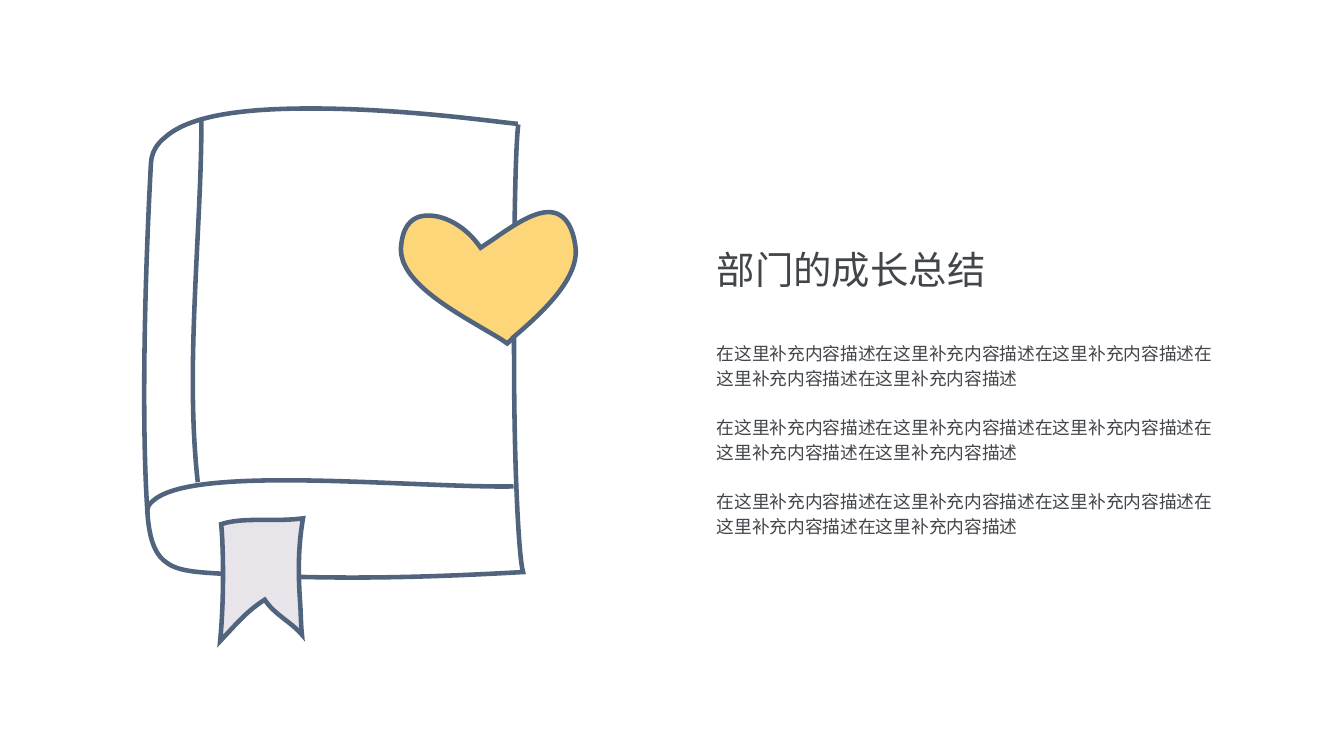
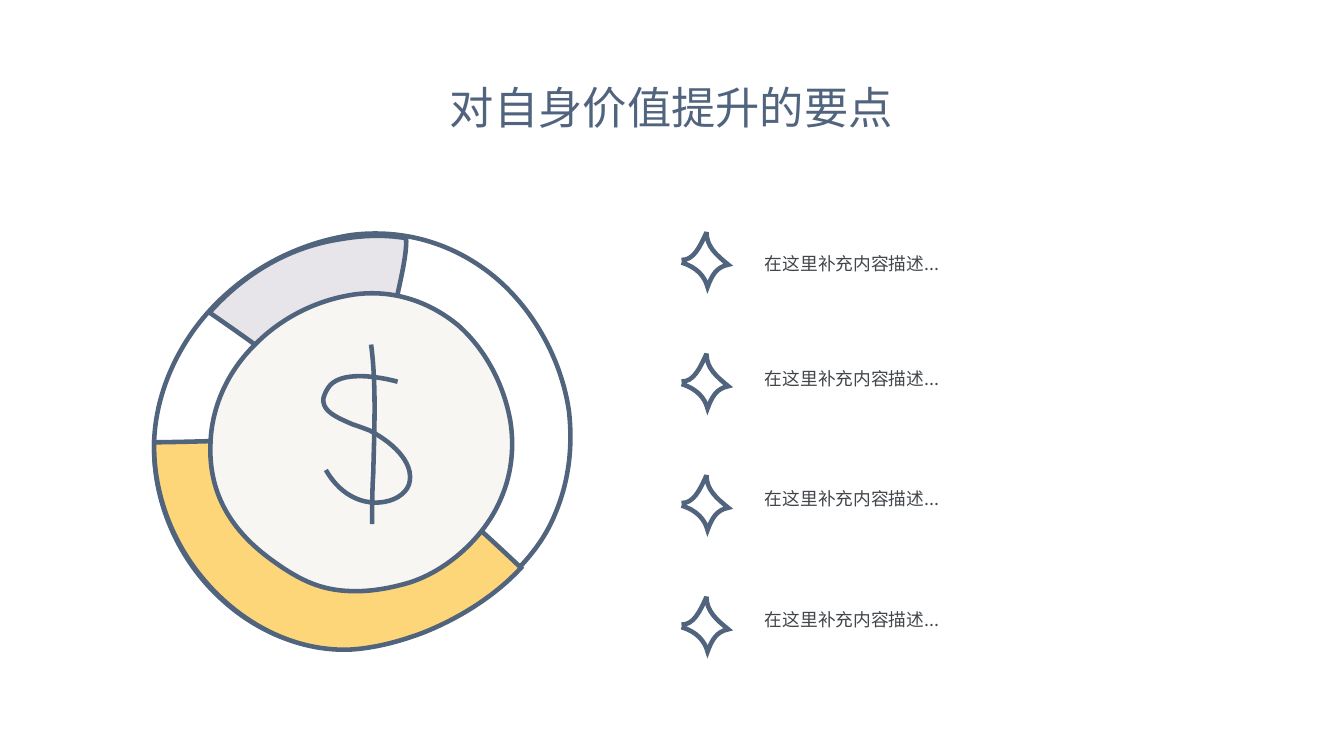
import pptx
import pptx.dml.color
import pptx.enum.text
import pptx.oxml.ns
import pptx.util
from lxml import etree

CELL = pptx.util.Inches(0.1)
COLS, ROWS = 126.4, 71.1
FONT = "Noto Sans CJK SC"
HUES = {"ink": "51647E", "text": "42464B", "gold": "FDD67A",
        "lilac": "E7E4EA", "cream": "F8F6F3"}
PEN = 3.1
STEPS = 16
FRAME = {"word_wrap": True, "margin_left": 0, "margin_right": 0,
         "margin_top": 0, "margin_bottom": 0,
         "vertical_anchor": pptx.enum.text.MSO_ANCHOR.MIDDLE}
LEFT, MID = pptx.enum.text.PP_ALIGN.LEFT, pptx.enum.text.PP_ALIGN.CENTER
BODY = {"size": 12, "hue": "text", "align": LEFT}
HEAD = {"size": 26, "hue": "text", "align": LEFT}
TITLE = {"size": 30, "hue": "ink", "align": MID}

# Each curve: a start point, then cubic segments of three points, in cells.
BOOK = [
    (48.7, 11.65),
    (46.5, 11.45), (38, 10.2), (29.2, 10.2),
    (23.1, 10.2), (17.9, 10.8), (15.55, 12.9),
    (14.7, 13.55), (14.25, 14.4), (14.2, 15.35),
    (13.7, 24.5), (13.25, 38.6), (13.85, 47.9),
    (14, 50.75), (14.6, 52.25), (15.8, 53),
    (17, 53.8), (18.85, 53.85), (22.7, 54.05),
    (31.8, 54.5), (39.3, 54.35), (49.2, 53.8),
    (48.8, 52.6), (48.35, 44), (48.35, 33.8),
    (48.3, 24), (48.45, 13.9), (48.75, 11.7)]
SHELF = [
    (13.85, 48.3),
    (13.85, 47.7), (14, 47.4), (14.35, 47.15),
    (17, 44.6), (28.6, 45.1), (38.4, 45.5),
    (42.2, 45.65), (45.9, 45.8), (48.3, 45.75)]
SPINE = [
    (18.6, 45.35),
    (17.8, 38.1), (18.2, 30.5), (18.55, 23.1),
    (18.75, 19), (18.95, 15.1), (18.95, 11.2)]
RIBBON = [
    (20.8, 49.3),
    (22.2, 48.85), (23.8, 48.9), (25.3, 48.9),
    (26.3, 48.9), (27.3, 48.9), (28.5, 48.75),
    (28, 51.6), (28.05, 54.2), (28.25, 57),
    (28.3, 57.9), (28.3, 58.8), (28.4, 59.7),
    (27.4, 58.5), (25.8, 57.8), (24.9, 56.4),
    (23.2, 57.5), (22.3, 58.6), (20.7, 60.3),
    (21.1, 56.2), (21, 51.3), (20.8, 49.3)]
HEART = [
    (54.1, 23.05),
    (53.85, 21.4), (53.25, 20.45), (52.4, 20.1),
    (50.85, 19.45), (48.6, 21), (46.75, 22.25),
    (46.2, 22.65), (45.65, 23), (45.2, 23.3),
    (44, 21.5), (41.7, 19.9), (39.55, 20.35),
    (38.6, 20.6), (37.8, 21.4), (37.7, 23.45),
    (37.7, 26.3), (41.85, 28.8), (45, 30.65),
    (46, 31.25), (46.95, 31.75), (47.7, 32.3),
    (47.9, 32.2), (48.1, 31.9), (48.25, 31.75),
    (50.7, 29.65), (54.65, 26.2), (54.1, 23.05)]
LILAC = [
    (19.7, 29.4),
    (23.8, 32.2), (30.2, 36.8), (34.7, 41),
    (35.7, 37), (36.2, 32.7), (37.2, 28.6),
    (37.5, 27), (38.3, 24), (38.2, 22.4),
    (37.5, 22.3), (35.4, 21.9), (32, 22.5),
    (28.7, 23), (24, 24.6), (19.7, 29.4)]
RING = [
    (14.5, 41.4),
    (14.7, 36.7), (16.9, 32), (20.4, 28.5),
    (23.9, 25), (28.4, 22.8), (33.1, 22.1),
    (38, 21.5), (42.8, 22.9), (46.7, 26.2),
    (50.3, 29.3), (52.8, 33.9), (53.5, 38.6),
    (53.9, 42), (53.5, 45.3), (52.2, 48.35),
    (50.9, 51.6), (48.1, 54.6), (44.2, 57.2),
    (40.5, 59.5), (36.4, 60.9), (32.7, 61),
    (28, 61.1), (23.6, 59.2), (20.1, 55.65),
    (16.3, 51.8), (14.3, 46.5), (14.5, 41.4)]
GOLD = [
    (14.5, 41.6),
    (14.4, 45.9), (15.9, 50.3), (18.6, 53.8),
    (22, 58.2), (27.1, 61.2), (32.7, 61.1),
    (35, 61), (37.4, 60.4), (39.8, 59.5),
    (43.3, 58.1), (46.6, 56), (49, 53.4),
    (42.3, 47), (34.8, 40.9), (34.8, 40.9),
    (34.8, 40.9), (22.5, 41.5), (14.5, 41.6)]
HUB = [
    (48, 39.6),
    (47.4, 36.2), (45.7, 32.9), (43.1, 30.6),
    (40.3, 28.3), (36.9, 27.2), (33.3, 27.7),
    (29.9, 28.2), (26.6, 29.8), (24.1, 32.3),
    (21.4, 34.9), (19.9, 38.3), (19.8, 41.7),
    (19.6, 46.2), (21.55, 49.9), (25.95, 52.95),
    (28.7, 54.9), (30.7, 55.6), (33.5, 55.6),
    (34.8, 55.6), (36.2, 55.4), (37.75, 55),
    (41.6, 54.1), (45.6, 50.7), (47.2, 46.7),
    (48.1, 44.55), (48.4, 42.1), (48, 39.6)]
COIN = [
    (37.4, 35.9),
    (35.6, 35.4), (31.9, 34.8), (30.85, 36.5),
    (30.4, 37.25), (30.3, 37.6), (30.5, 38.1),
    (30.8, 38.9), (32, 39.4), (33.15, 39.9),
    (33.75, 40.1), (34.3, 40.3), (34.8, 40.5),
    (38.3, 42.4), (38.7, 44.3), (38.55, 45.2),
    (38.45, 46.2), (37.4, 47), (36.15, 47.2),
    (34.5, 47.5), (32.2, 46.9), (30.65, 44.2)]
STEM = [
    (35, 49.3),
    (35, 47.7), (35, 46.1), (35.1, 44.55),
    (35.2, 40.4), (35.4, 36.2), (34.9, 32.4)]
STAR = [
    (0.1, 3.45),
    (1.2, 3.5), (1.8, 2.3), (2.45, 0.85),
    (2.45, 2.2), (3.4, 3), (4.5, 3.9),
    (3.4, 4.1), (2.95, 4.9), (2.55, 6),
    (2.3, 5), (1.5, 4.1), (0.1, 3.7)]


def shade(name):
    return pptx.dml.color.RGBColor.from_string(HUES[name])


def trace(curve):
    """Points along a chain of cubic segments, to find its extent."""
    ends = curve[::3]
    dots = [curve[0]]
    for seg in zip(ends, curve[1::3], curve[2::3], ends[1:]):
        for step in range(1, STEPS + 1):
            t = step / STEPS
            s = 1 - t
            mix = (s ** 3, 3 * t * s * s, 3 * t * t * s, t ** 3)
            dots.append([sum(m * p[ax] for m, p in zip(mix, seg))
                         for ax in (0, 1)])
    return dots


def bend(shape, curve):
    """Make the outline of a freeform out of cubic segments."""
    qn = pptx.oxml.ns.qn
    line = shape._element.find(".//" + qn("a:path"))
    for part in line.findall(qn("a:lnTo")):
        line.remove(part)
    for num in range(1, len(curve), 3):
        arc = etree.Element(qn("a:cubicBezTo"))
        for x, y in curve[num:num + 3]:
            etree.SubElement(arc, qn("a:pt"), x=str(round(x - shape.left)),
                             y=str(round(y - shape.top)))
        line.insert(1 + num // 3, arc)


def sketch(slide, curve, fill=None, left=0, top=0):
    """Draw a curve in ink with sharp corners; closed if its ends meet."""
    curve = [((x + left) * CELL, (y + top) * CELL) for x, y in curve]
    dots = trace(curve)
    pen = slide.shapes.build_freeform(*dots[0], scale=1.0)
    pen.add_line_segments(dots[1:], close=curve[0] == curve[-1])
    shape = pen.convert_to_shape()
    bend(shape, curve)
    shape.shadow.inherit = False
    if fill:
        shape.fill.solid()
        shape.fill.fore_color.rgb = shade(fill)
    else:
        shape.fill.background()
    shape.line.color.rgb = shade("ink")
    shape.line.width = pptx.util.Pt(PEN)
    ln = shape._element.find(".//" + pptx.oxml.ns.qn("a:ln"))
    etree.SubElement(ln, pptx.oxml.ns.qn("a:miter"), lim="800000")


def write(slide, lines, box, style, gap=0):
    """Set lines as paragraphs in a box given in cells."""
    area = slide.shapes.add_textbox(*(int(n * CELL) for n in box))
    frame = area.text_frame
    for key, val in FRAME.items():
        setattr(frame, key, val)
    frame.text = "\n".join(lines)
    for num, para in enumerate(frame.paragraphs):
        looks = {"alignment": style["align"], "line_spacing": 1.16,
                 "space_before": pptx.util.Pt(gap if num else 0)}
        for key, val in looks.items():
            setattr(para, key, val)
        font = para.runs[0].font
        font.name = FONT
        font.size = pptx.util.Pt(style["size"])
        font.color.rgb = shade(style["hue"])
        etree.SubElement(font._element, pptx.oxml.ns.qn("a:ea"), typeface=FONT)


def growth(slide):
    for curve, fill in ((BOOK, None), (SHELF, None), (SPINE, None),
                        (RIBBON, "lilac"), (HEART, "gold")):
        sketch(slide, curve, fill)
    write(slide, ["在这里补充内容描述" * 5] * 3, (67.4, 31.9, 48.3, 18.6),
          BODY, gap=16.7)
    write(slide, ["部门的成长总结"], (67.4, 22.3, 41.8, 5.3), HEAD)


def value(slide):
    write(slide, ["对自身价值提升的要点"], (35.6, 6.6, 55.1, 6.1), TITLE)
    for curve, fill in ((LILAC, "lilac"), (RING, None), (GOLD, "gold"),
                        (HUB, "cream"), (COIN, None), (STEM, None)):
        sketch(slide, curve, fill)
    for row, top in enumerate((23.35, 34.1, 45.4, 56.8)):
        sketch(slide, STAR, left=64, top=21 + 11.43 * row)
        write(slide, ["在这里补充内容描述..."], (71.95, top, 29.4, 2.6), BODY)


def main():
    deck = pptx.Presentation()
    deck.slide_width, deck.slide_height = int(COLS * CELL), int(ROWS * CELL)
    for fill in (growth, value):
        fill(deck.slides.add_slide(deck.slide_layouts[6]))
    deck.save("out.pptx")


if __name__ == "__main__":
    main()
